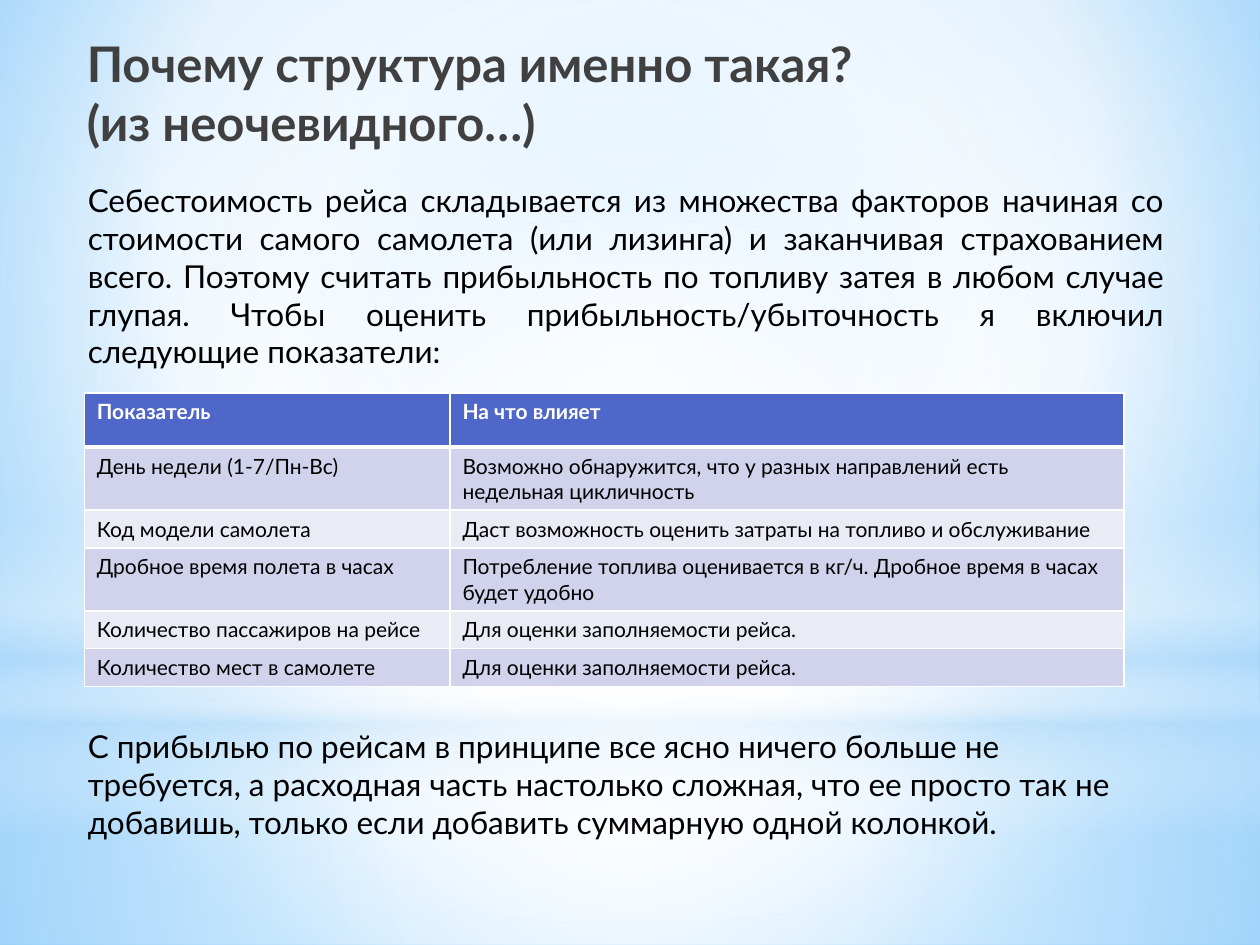
from dataclasses import dataclass

from lxml.etree import SubElement
from pptx import Presentation
from pptx.dml.color import RGBColor
from pptx.enum.shapes import MSO_SHAPE as Preset
from pptx.enum.text import MSO_ANCHOR as Anchor, PP_ALIGN as Align
from pptx.oxml.ns import qn
from pptx.slide import Slide
from pptx.util import Cm, Pt

WHITE = RGBColor(0xFF, 0xFF, 0xFF)
BLACK = RGBColor(0x00, 0x00, 0x00)
CHARCOAL = RGBColor(0x40, 0x40, 0x40)
INDIGO = RGBColor(0x4E, 0x67, 0xC8)
LAVENDER = RGBColor(0xD0, 0xD3, 0xEB)
PALE_LAVENDER = RGBColor(0xE9, 0xEB, 0xF5)
HAZE = RGBColor(0xB4, 0xDC, 0xFA)
SKY = RGBColor(0x9E, 0xD5, 0xFF)
DEEP_SKY = RGBColor(0x5B, 0xB9, 0xFF)

WIDTH, HEIGHT = 25.4, 19.05
HORIZON = 14.17
CENTRE = (50, 50, 50, 50)

TITLE_FONT = {"name": "Lato", "size": Pt(28), "bold": True}
BODY_FONT = {"name": "Lato", "size": Pt(18), "bold": False}
HEADER_FONT = {"name": "Lato", "size": Pt(12), "bold": True}
CELL_FONT = {**HEADER_FONT, "bold": False}


@dataclass
class Stop:
    position: int
    color: RGBColor
    alpha: int = 100


@dataclass
class Glow:
    preset: Preset
    box: tuple[float, float, float, float]
    stops: list[Stop]
    focus: tuple[int, int, int, int] | None = CENTRE


@dataclass
class Passage:
    text: str
    box: tuple[float, float, float, float]
    font: dict
    color: RGBColor
    align: Align = Align.LEFT


GLOWS = [
    Glow(Preset.RECTANGLE, (0, HORIZON, WIDTH, HEIGHT - HORIZON),
         [Stop(0, WHITE, 91), Stop(37, WHITE, 76), Stop(100, HAZE, 79)]),
    Glow(Preset.RECTANGLE, (0, 0, WIDTH, HORIZON),
         [Stop(0, WHITE, 89), Stop(48, WHITE, 62), Stop(100, HAZE, 79)]),
    Glow(Preset.RECTANGLE, (0, 10.46, WIDTH, 6.35),
         [Stop(0, WHITE, 0), Stop(29, WHITE, 30), Stop(45, HAZE, 40),
          Stop(55, WHITE, 26), Stop(65, HAZE, 60), Stop(100, WHITE, 0)], None),
    Glow(Preset.OVAL, (0, 4.45, WIDTH, HORIZON),
         [Stop(0, WHITE), Stop(56, WHITE, 0)]),
]

PASSAGES = [
    Passage("Почему структура именно такая?\v(из неочевидного…)",
            (1.5, 0.56, 18.08, 3.18), TITLE_FONT, CHARCOAL),
    Passage("Себестоимость рейса складывается из множества факторов начиная со "
            "стоимости самого самолета (или лизинга) и заканчивая страхованием "
            "всего. Поэтому считать прибыльность по топливу затея в любом случае "
            "глупая. Чтобы оценить прибыльность/убыточность я включил следующие "
            "показатели:",
            (1.52, 3.53, 22.2, 4.11), BODY_FONT, BLACK, Align.JUSTIFY),
    Passage("С прибылью по рейсам в принципе все ясно ничего больше не требуется, "
            "а расходная часть настолько сложная, что ее просто так не добавишь, "
            "только если добавить суммарную одной колонкой.",
            (1.52, 14.53, 21.13, 2.57), BODY_FONT, BLACK),
]

INDICATORS = [
    ("Показатель", "На что влияет"),
    ("День недели (1-7/Пн-Вс)",
     "Возможно обнаружится, что у разных направлений есть недельная цикличность"),
    ("Код модели самолета",
     "Даст возможность оценить затраты на топливо и обслуживание"),
    ("Дробное время полета в часах",
     "Потребление топлива оценивается в кг/ч. Дробное время в часах будет удобно"),
    ("Количество пассажиров на рейсе", "Для оценки заполняемости рейса."),
    ("Количество мест в самолете", "Для оценки заполняемости рейса."),
]
COLUMN_WIDTHS = (7.37, 13.59)
ROW_HEIGHTS = (1.09, 0.71, 0.71, 0.71, 0.71, 0.43)


def set_font(font, values: dict, color: RGBColor) -> None:
    for attribute, value in values.items():
        setattr(font, attribute, value)
    font.color.rgb = color


def set_gradient(owner, fill, stops: list[Stop], focus) -> None:
    fill.solid()
    fill.fore_color.rgb = WHITE
    solid = next(owner.iter(qn("a:solidFill")))
    gradient = solid.makeelement(qn("a:gradFill"), {"rotWithShape": "1"})
    stop_list = SubElement(gradient, qn("a:gsLst"))
    for stop in stops:
        mark = SubElement(stop_list, qn("a:gs"), pos=str(stop.position * 1000))
        tint = SubElement(mark, qn("a:srgbClr"), val=str(stop.color))
        if stop.alpha < 100:
            SubElement(tint, qn("a:alpha"), val=str(stop.alpha * 1000))
    if focus:
        circle = SubElement(gradient, qn("a:path"), {"path": "circle"})
        SubElement(circle, qn("a:fillToRect"),
                   {side: str(share * 1000) for side, share in zip("ltrb", focus)})
    else:
        SubElement(gradient, qn("a:lin"), ang="5400000", scaled="0")
    solid.getparent().replace(solid, gradient)


def draw_glow(slide: Slide, glow: Glow) -> None:
    shape = slide.shapes.add_shape(glow.preset, *map(Cm, glow.box))
    shape.shadow.inherit = False
    shape.line.fill.background()
    set_gradient(shape.element, shape.fill, glow.stops, glow.focus)


def draw_passage(slide: Slide, passage: Passage) -> None:
    frame = slide.shapes.add_textbox(*map(Cm, passage.box)).text_frame
    frame.word_wrap = True
    frame.vertical_anchor = Anchor.TOP
    frame.text = passage.text
    paragraph = frame.paragraphs[0]
    paragraph.alignment = passage.align
    for run in paragraph.runs:
        set_font(run.font, passage.font, passage.color)


def set_borders(cell, widths: dict[str, int]) -> None:
    properties = cell._tc.get_or_add_tcPr()
    for side, width in widths.items():
        border = SubElement(properties, qn(f"a:ln{side}"), w=str(Pt(width)))
        SubElement(SubElement(border, qn("a:solidFill")), qn("a:srgbClr"), val=str(WHITE))


def draw_indicators(slide: Slide) -> None:
    table = slide.shapes.add_table(
        len(INDICATORS), len(COLUMN_WIDTHS), Cm(1.7), Cm(7.92),
        Cm(sum(COLUMN_WIDTHS)), Cm(sum(ROW_HEIGHTS))).table
    for column, width in zip(table.columns, COLUMN_WIDTHS):
        column.width = Cm(width)
    for index, (row, texts) in enumerate(zip(table.rows, INDICATORS)):
        row.height = Cm(ROW_HEIGHTS[index])
        header = index == 0
        band = INDIGO if header else LAVENDER if index % 2 else PALE_LAVENDER
        widths = {"L": 1, "R": 1, "T": 3 if index == 1 else 1, "B": 3 if header else 1}
        for cell, text in zip(row.cells, texts):
            cell.text = text
            set_borders(cell, widths)
            cell.fill.solid()
            cell.fill.fore_color.rgb = band
            set_font(cell.text_frame.paragraphs[0].runs[0].font,
                     HEADER_FONT if header else CELL_FONT, WHITE if header else BLACK)


def main() -> None:
    deck = Presentation()
    deck.slide_width, deck.slide_height = Cm(WIDTH), Cm(HEIGHT)
    slide = deck.slides.add_slide(deck.slide_layouts[6])
    set_gradient(slide.element, slide.background.fill,
                 [Stop(0, SKY), Stop(60, WHITE), Stop(100, DEEP_SKY)], (20, 10, 20, 60))
    for glow in GLOWS:
        draw_glow(slide, glow)
    title, *body = PASSAGES
    draw_passage(slide, title)
    draw_indicators(slide)
    for passage in body:
        draw_passage(slide, passage)
    deck.save("out.pptx")


if __name__ == "__main__":
    main()
